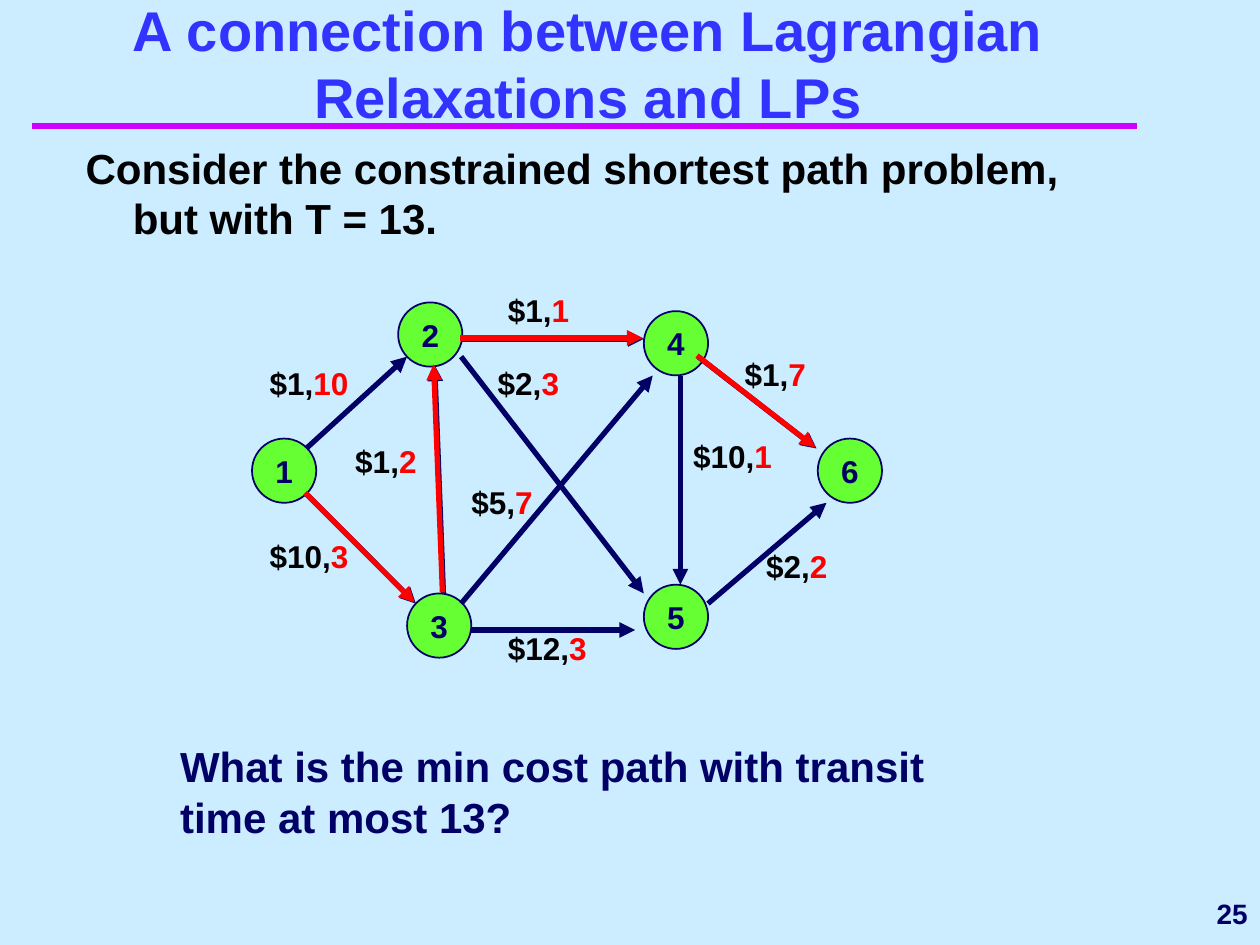
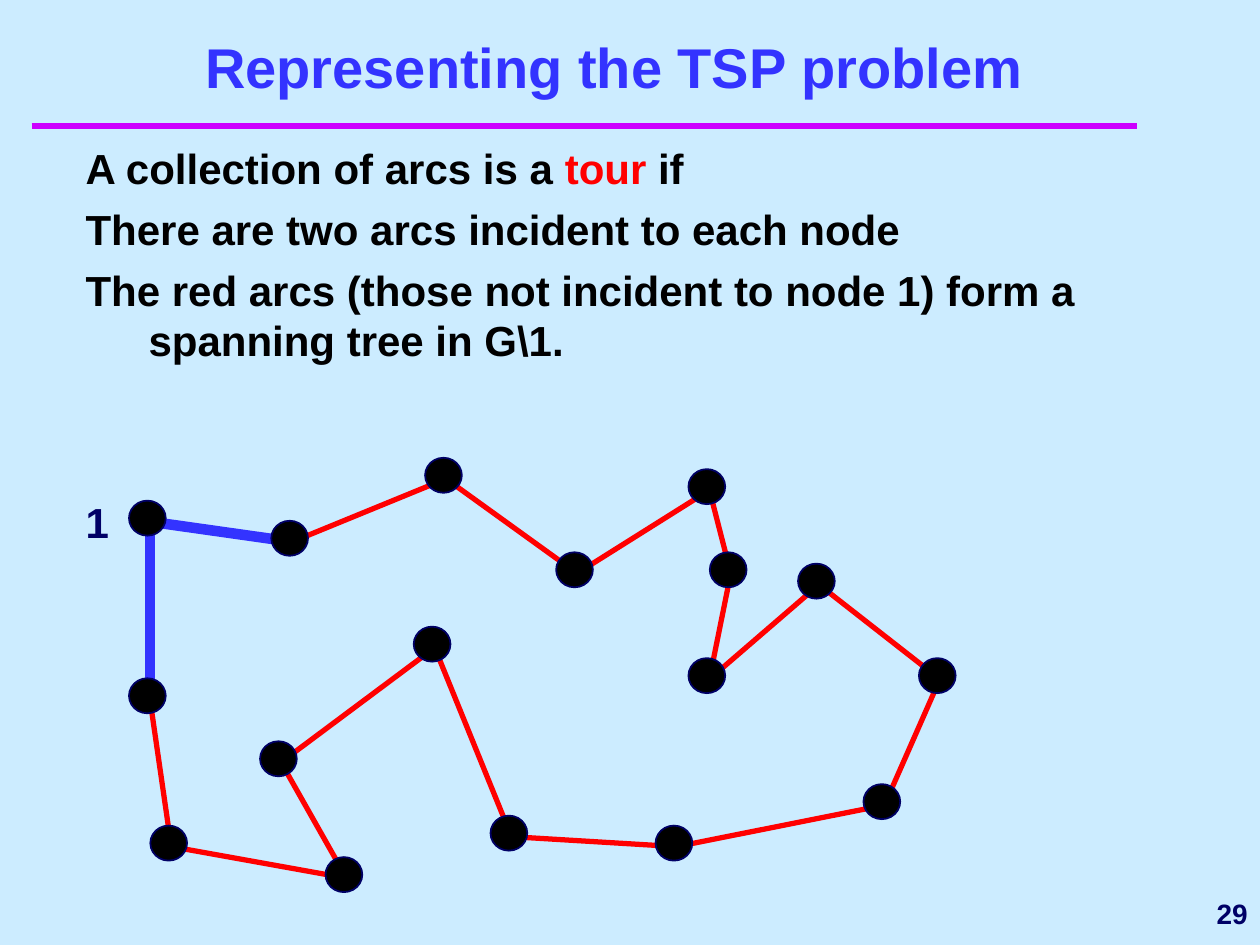
"""Build two lecture slides on a constrained shortest path and a TSP tour."""
from lxml import etree
from pptx import Presentation
from pptx.dml import color as dml
from pptx.enum import shapes, text
from pptx.oxml import ns
from pptx.util import Pt

COLOURS = {
    "sky": "CCECFF",
    "rule": "CC00FF",
    "blue": "3333FF",
    "navy": "000066",
    "black": "000000",
    "red": "FF0000",
    "green": "66FF33",
}
FONT = "Arial"
ALIGN = text.PP_ALIGN
ANCHOR = text.MSO_ANCHOR

NODE_SIZE = 36.7
NODES = {
    1: (144, 250.6),
    2: (227.5, 172.8),
    3: (232.6, 339.1),
    4: (367.9, 177.8),
    5: (367.9, 334.1),
    6: (467.3, 250.6),
}
ARCS = {
    (1, 2): ((175, 256.3), (232.6, 203.8)),
    (2, 4): ((263.5, 193.7), (367.9, 193.7)),
    (2, 5): ((263.5, 203.8), (367.9, 339.1)),
    (1, 3): ((175, 282.2), (237.6, 344.9)),
    (3, 2): ((253.4, 339.1), (248.4, 208.8)),
    (3, 4): ((263.5, 344.9), (373, 214.6)),
    (3, 5): ((269.3, 360), (362.9, 360)),
    (5, 6): ((404.6, 344.9), (472.3, 287.3)),
    (4, 6): ((398.9, 203.8), (466.6, 256.3)),
    (4, 5): ((388.8, 214.6), (388.8, 334.1)),
}
ARC_LABELS = [
    ("$1,", "10", 154.1, 208.1),
    ("$1,", "1", 290.2, 166.3),
    ("$1,", "7", 425.5, 203),
    ("$2,", "3", 284.4, 208.1),
    ("$10,", "3", 154.1, 306.7),
    ("$12,", "3", 290.2, 359.3),
    ("$2,", "2", 437.8, 312.5),
    ("$1,", "2", 203, 252.7),
    ("$10,", "1", 396, 249.8),
    ("$5,", "7", 269.3, 275.8),
]
SHORTEST_PATH = [(1, 3), (3, 2), (2, 4), (4, 6)]
PATH_SHIFT = 0.6

TOUR = [
    (85.7, 298.1), (167, 309.6), (254.9, 273.6), (329.8, 327.6),
    (405.4, 280.1), (417.6, 327.6), (405.4, 388.1), (468, 334.1),
    (537.1, 388.1), (505.4, 460.1), (386.6, 483.8), (292.3, 478.1),
    (248.4, 370.1), (160.6, 435.6), (198, 501.8), (97.9, 483.8),
    (85.7, 399.6),
]
DOT_OFFSET = 12


def rgb(name):
    """Return the named colour."""
    return dml.RGBColor.from_string(COLOURS[name])


class Lecture:
    """Hold the deck's style and the current page."""

    def __init__(self):
        """Start an empty 10 by 7.5 inch deck."""
        self.deck = Presentation()
        self.deck.slide_width, self.deck.slide_height = Pt(720), Pt(540)
        self.page = None

    def new_page(self, title, title_area, number):
        """Add a page with background, rule, title and number."""
        self.page = self.deck.slides.add_slide(self.deck.slide_layouts[6])
        self.page.background.fill.solid()
        self.page.background.fill.fore_color.rgb = rgb("sky")
        self.line((18, 72), (650, 72), "rule", 4)
        self.text(title_area, [title], 32, "blue", ALIGN.CENTER, ANCHOR.BOTTOM)
        self.text((581.8, 504, 138.2, 36), [str(number)], 16, "navy",
                  ALIGN.RIGHT, ANCHOR.MIDDLE)

    def fill_para(self, para, content, size, colour, align):
        """Fill a paragraph from a string or (text, colour) spans."""
        para.alignment = align
        para.font.name, para.font.size, para.font.bold = FONT, Pt(size), True
        if isinstance(content, str):
            para.add_run().text = content
            para.font.color.rgb = rgb(colour)
            return
        for words, span_colour in content:
            span = para.add_run()
            span.text = words
            span.font.color.rgb = rgb(span_colour)

    def text(self, area, paragraphs, size, colour="black", align=ALIGN.LEFT,
             anchor=ANCHOR.TOP, hanging=0, inset=True):
        """Add a text box with one entry per paragraph."""
        frame = self.page.shapes.add_textbox(*map(Pt, area)).text_frame
        frame.word_wrap = True
        frame.vertical_anchor = anchor
        if not inset:
            frame.margin_left = frame.margin_right = 0
            frame.margin_top = frame.margin_bottom = 0
        for index, content in enumerate(paragraphs):
            para = frame.add_paragraph() if index else frame.paragraphs[0]
            if index:
                para.space_before = Pt(6)
            if hanging:
                properties = para._p.get_or_add_pPr()
                properties.set("marL", str(Pt(hanging)))
                properties.set("indent", str(-Pt(hanging)))
            self.fill_para(para, content, size, colour, align)

    def ellipse(self, area, fill, label=None):
        """Add a filled ellipse, with a centred label if given."""
        shape = self.page.shapes.add_shape(shapes.MSO_SHAPE.OVAL, *map(Pt, area))
        shape.shadow.inherit = False
        shape.fill.solid()
        shape.fill.fore_color.rgb = rgb(fill)
        shape.line.color.rgb = rgb("navy")
        shape.line.width = Pt(1)
        if label:
            frame = shape.text_frame
            frame.word_wrap = False
            frame.vertical_anchor = ANCHOR.MIDDLE
            self.fill_para(frame.paragraphs[0], label, 18, "navy", ALIGN.CENTER)

    def line(self, start, end, colour, width=3, arrow=False):
        """Add a straight line, with an arrowhead at its end if asked."""
        connector = self.page.shapes.add_connector(
            shapes.MSO_CONNECTOR.STRAIGHT, *map(Pt, (*start, *end)))
        connector.line.color.rgb = rgb(colour)
        connector.line.width = Pt(width)
        if arrow:
            outline = connector.line._get_or_add_ln()
            etree.SubElement(outline, ns.qn("a:tailEnd"), type="triangle")
        etree.SubElement(connector._element.spPr, ns.qn("a:effectLst"))


def add_shortest_path_page(lecture):
    """Draw the network and its cheapest path within the time limit."""
    lecture.new_page("A connection between Lagrangian Relaxations and LPs",
                     (30.2, 0, 612, 77.8), 25)
    lecture.text((41.8, 77.8, 608.4, 72),
                 ["Consider the constrained shortest path problem, "
                  "but with T = 13."], 24, hanging=27)
    for cost, time, left, top in ARC_LABELS:
        lecture.text((left, top, 59, 21.6), [[(cost, "black"), (time, "red")]],
                     18, inset=False)
    for number, corner in NODES.items():
        lecture.ellipse((*corner, NODE_SIZE, NODE_SIZE), "green", str(number))
    for start, end in ARCS.values():
        lecture.line(start, end, "navy", arrow=True)
    lecture.text((95.8, 419.8, 450, 64.8),
                 ["What is the min cost path with transit time at most 13?"],
                 24, "navy")
    for arc in SHORTEST_PATH:
        start, end = ([value - PATH_SHIFT for value in point]
                      for point in ARCS[arc])
        lecture.line(start, end, "red", arrow=True)


def add_tour_page(lecture):
    """Draw the tour, with the arcs at node 1 in blue."""
    lecture.new_page("Representing the TSP problem", (18, 30.2, 666, 30.2), 29)
    lecture.text((41.8, 77.8, 608.4, 156.2), [
        [("A collection of arcs is a ", "black"), ("tour", "red"),
         (" if", "black")],
        "There are two arcs incident to each node",
        "The red arcs (those not incident to node 1) form a spanning tree "
        "in G\\1.",
    ], 24, hanging=36)
    for start, end in zip(TOUR, TOUR[1:] + TOUR[:1]):
        if TOUR[0] in (start, end):
            lecture.line(start, end, "blue", 6)
        else:
            lecture.line(start, end, "red")
    lecture.text((41.8, 280.1, 37.4, 36), ["1"], 24, "navy")
    for x, y in TOUR:
        lecture.ellipse((x - DOT_OFFSET, y - DOT_OFFSET, 21, 20), "black")


def main():
    """Build and save the deck."""
    lecture = Lecture()
    add_shortest_path_page(lecture)
    add_tour_page(lecture)
    lecture.deck.save("out.pptx")


if __name__ == "__main__":
    main()
